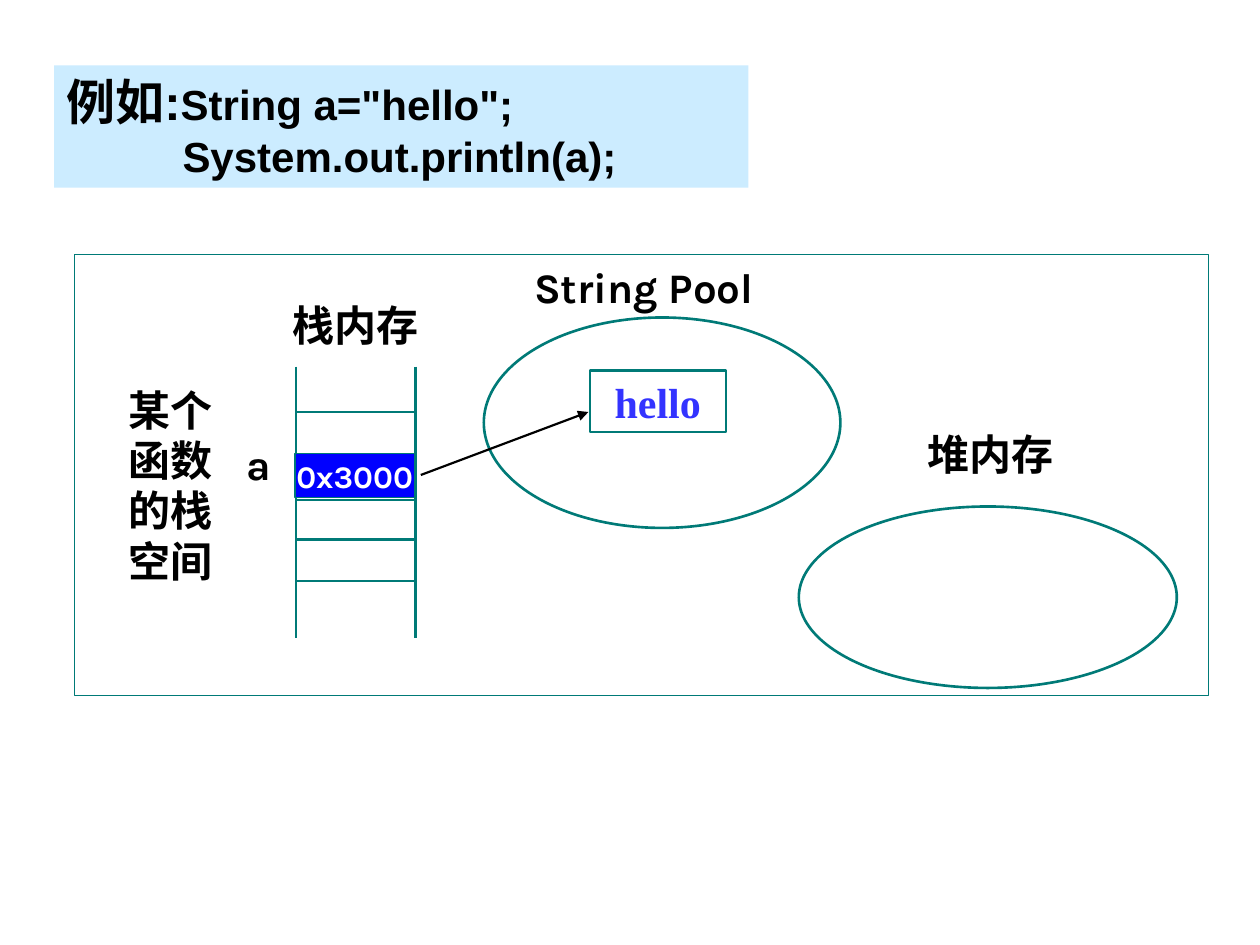
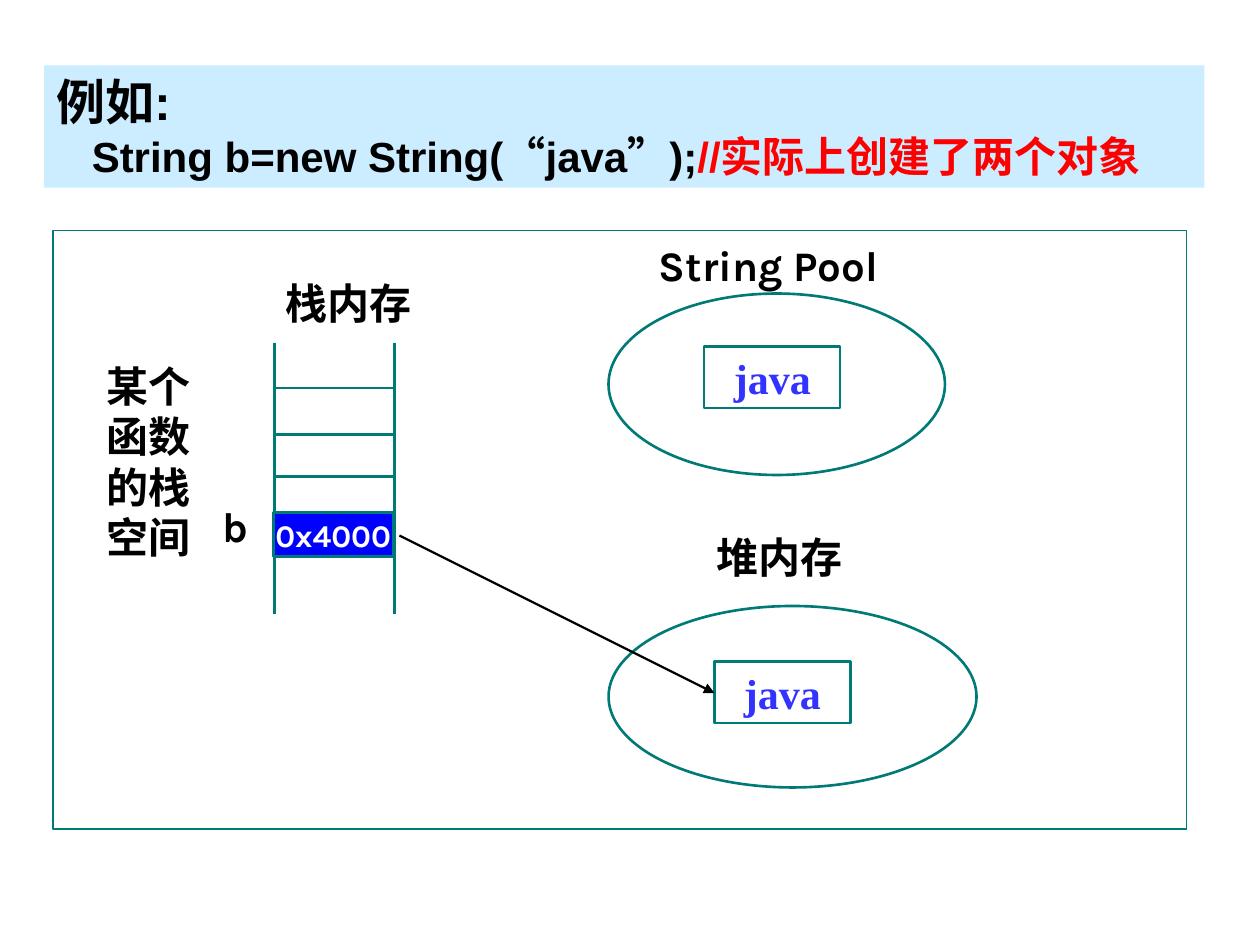
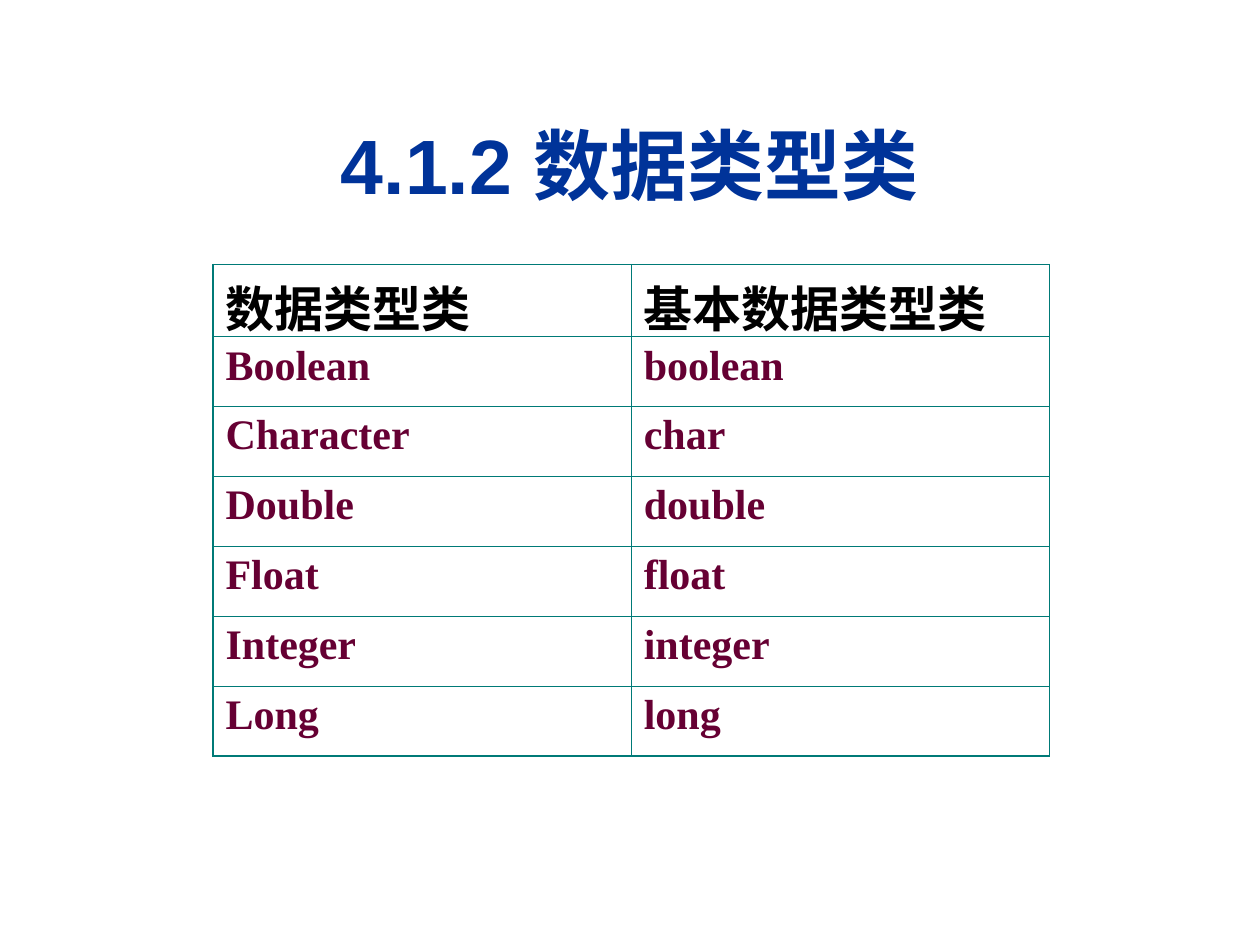
import pptx
import pptx.dml.color
import pptx.enum.shapes
import pptx.enum.text
import pptx.util
import lxml.etree
from dataclasses import dataclass
from pptx.oxml.ns import qn

Inches, Pt = pptx.util.Inches, pptx.util.Pt
RGBColor = pptx.dml.color.RGBColor
MSO_SHAPE = pptx.enum.shapes.MSO_SHAPE
PP_ALIGN = pptx.enum.text.PP_ALIGN
MSO_ANCHOR = pptx.enum.text.MSO_ANCHOR
MSO_AUTO_SIZE = pptx.enum.text.MSO_AUTO_SIZE

# Shared colours and fonts
BLACK = RGBColor(0x00, 0x00, 0x00)
WHITE = RGBColor(0xFF, 0xFF, 0xFF)
TEAL = RGBColor(0x00, 0x7A, 0x77)
BLUE = RGBColor(0x00, 0x00, 0xFF)
VIOLET = RGBColor(0x33, 0x33, 0xFF)
NAVY = RGBColor(0x00, 0x33, 0x99)
PALE_BLUE = RGBColor(0xCC, 0xEC, 0xFF)
RED = RGBColor(0xFF, 0x00, 0x00)
MAROON = RGBColor(0x66, 0x00, 0x33)
SANS, LABEL, SERIF = "Arial", "Karla", "Times New Roman"

Box = tuple[float, float, float, float]
Point = tuple[float, float]


@dataclass
class Label:
    text: str
    at: Box
    wrap: bool = False


@dataclass
class Code:
    """One run of the banner; indent is given when it starts a line."""
    text: str
    indent: float | None = None
    size: float = 24
    color: RGBColor = BLACK


@dataclass
class MemorySlide:
    banner: Box
    code: list[Code]
    frame: Box
    ellipses: list[Box]
    labels: list[Label]
    address: str
    address_top: float
    address_line: float
    values: list[Label]
    arrow: tuple[Point, Point]


def add_text(tf, text: str, *, size: float = 24, font: str = LABEL,
             color: RGBColor = BLACK, align=PP_ALIGN.LEFT,
             new_line: bool = False, indent: float = 0) -> None:
    p = tf.add_paragraph() if new_line else tf.paragraphs[-1]
    p.alignment = align
    if indent:
        p._p.get_or_add_pPr().set("marL", str(Inches(indent)))
    r = p.add_run()
    r.text = text
    r.font.size, r.font.name, r.font.bold = Pt(size), font, True
    r.font.color.rgb = color


def add_box(s, at: Box, fill: RGBColor = WHITE, line: float = 0,
            kind=MSO_SHAPE.RECTANGLE):
    sp = s.shapes.add_shape(kind, *map(Inches, at))
    sp.shadow.inherit = False
    sp.fill.solid()
    sp.fill.fore_color.rgb = fill
    if line:
        sp.line.color.rgb = TEAL
        sp.line.width = Pt(line)
    else:
        sp.line.fill.background()
    return sp


def add_value(s, label: Label, fill: RGBColor, line: float, **fmt) -> None:
    tf = add_box(s, label.at, fill, line).text_frame
    tf.word_wrap = False
    tf.vertical_anchor = MSO_ANCHOR.MIDDLE
    add_text(tf, label.text, align=PP_ALIGN.CENTER, **fmt)


def add_label(s, label: Label) -> None:
    tf = s.shapes.add_textbox(*map(Inches, label.at)).text_frame
    tf.word_wrap = label.wrap
    tf.auto_size = MSO_AUTO_SIZE.SHAPE_TO_FIT_TEXT
    add_text(tf, label.text)


def add_line(s, start: Point, end: Point, color: RGBColor = TEAL,
             width: float = 1.5, arrow: bool = False) -> None:
    c = s.shapes.add_connector(pptx.enum.shapes.MSO_CONNECTOR.STRAIGHT,
                               *map(Inches, start + end))
    c.line.color.rgb = color
    c.line.width = Pt(width)
    spPr = c._element.spPr
    if arrow:
        lxml.etree.SubElement(spPr.find(qn("a:ln")), qn("a:tailEnd"), type="triangle")
    lxml.etree.SubElement(spPr, qn("a:effectLst"))


def add_banner(s, at: Box, code: list[Code]) -> None:
    tf = add_box(s, at, PALE_BLUE).text_frame
    tf.word_wrap = True
    tf.auto_size = MSO_AUTO_SIZE.SHAPE_TO_FIT_TEXT
    tf.vertical_anchor = MSO_ANCHOR.TOP
    for c in code:
        add_text(tf, c.text, size=c.size, font=SANS, color=c.color,
                 new_line=c.indent is not None, indent=c.indent or 0)


def add_stack(s, x: float, y: float) -> None:
    """Two posts and five rungs, with the side label, inside a frame at x, y."""
    left, width = x + 1.76, 0.95
    for post in (left, left + width):
        add_line(s, (post, y + 0.89), (post, y + 3.04))
    for rung in (1.25, 1.62, 1.95, 2.26, 2.59):
        add_line(s, (left, y + rung), (left + width, y + rung))
    add_label(s, Label("某个函数的栈空间", (x + 0.33, y + 0.98, 0.93, 1.7), wrap=True))


def add_memory_slide(prs, m: MemorySlide) -> None:
    s = prs.slides.add_slide(prs.slide_layouts[6])
    x, y = m.frame[:2]
    add_banner(s, m.banner, m.code)
    add_box(s, m.frame, line=0.74)
    add_stack(s, x, y)
    for at in m.ellipses:
        add_box(s, at, line=1.5, kind=MSO_SHAPE.OVAL)
    for label in m.labels:
        add_label(s, label)
    add_value(s, Label(m.address, (x + 1.75, m.address_top, 0.95, 0.35)),
              BLUE, m.address_line, size=18, color=WHITE)
    for value in m.values:
        add_value(s, value, WHITE, 1.25, font=SERIF, color=VIOLET)
    add_line(s, *m.arrow, color=BLACK, width=1.25, arrow=True)


def set_borders(cell, widths: dict[str, float]) -> None:
    tcPr = cell._tc.get_or_add_tcPr()
    for side, width in widths.items():
        ln = lxml.etree.SubElement(tcPr, qn(f"a:ln{side}"), w=str(Pt(width)))
        fill = lxml.etree.SubElement(ln, qn("a:solidFill"))
        lxml.etree.SubElement(fill, qn("a:srgbClr"), val=str(TEAL))


def add_type_table(s, rows: list[tuple[str, str]]) -> None:
    outer, inner = 1.08, 0.45
    last = len(rows) - 1
    table = s.shapes.add_table(len(rows), 2, Inches(1.69), Inches(2.1),
                               Inches(6.64), Inches(3.9)).table
    table.first_row = table.horz_banding = False
    for i, row in enumerate(rows):
        table.rows[i].height = Inches(0.555 if i else 0.57)
        fmt = (dict(font=SERIF, color=MAROON) if i else dict(size=28, font=SANS))
        for j, text in enumerate(row):
            cell = table.cell(i, j)
            set_borders(cell, {"L": inner if j else outer,
                               "R": outer if j else inner,
                               "T": inner if i else outer,
                               "B": outer if i == last else inner})
            cell.fill.background()
            add_text(cell.text_frame, text, **fmt)


prs = pptx.Presentation()
prs.slide_width, prs.slide_height = Inches(10), Inches(7.5)

# Slide 1: a literal lives in the string pool
add_memory_slide(prs, MemorySlide(
    banner=(0.43, 0.52, 5.51, 0.97),
    code=[Code("例如:", size=28), Code('String a="hello";'),
          Code("System.out.println(a);", indent=0.92)],
    frame=(0.59, 2.02, 9, 3.5),
    ellipses=[(6.34, 4.02, 3, 1.44), (3.84, 2.52, 2.83, 1.67)],
    labels=[Label("栈内存", (2.22, 2.33, 1.2, 0.5)),
            Label("a", (1.86, 3.43, 0.4, 0.5)),
            Label("堆内存", (7.26, 3.35, 1.2, 0.5)),
            Label("String Pool", (4.14, 2.03, 2.02, 0.5))],
    address="0x3000", address_top=3.6, address_line=0.74,
    values=[Label("hello", (4.68, 2.94, 1.08, 0.49))],
    arrow=((3.34, 3.77), (4.67, 3.27))))

# Slide 2: new creates a second object on the heap
add_memory_slide(prs, MemorySlide(
    banner=(0.35, 0.52, 9.21, 0.97),
    code=[Code("例如:", size=28), Code("String b=new String(“java”);", indent=0.28),
          Code("//实际上创建了两个对象", color=RED)],
    frame=(0.42, 1.83, 9, 4.75),
    ellipses=[(4.83, 4.81, 2.92, 1.44), (4.83, 2.33, 2.67, 1.44)],
    labels=[Label("栈内存", (2.17, 2.15, 1.2, 0.5)),
            Label("堆内存", (5.59, 4.17, 1.2, 0.5)),
            Label("b", (1.67, 3.92, 0.41, 0.5)),
            Label("String Pool", (5.13, 1.85, 2.02, 0.5))],
    address="0x4000", address_top=4.07, address_line=1.76,
    values=[Label("java", (5.59, 2.75, 1.08, 0.49)),
            Label("java", (5.67, 5.25, 1.08, 0.49))],
    arrow=((3.17, 4.25), (5.67, 5.5))))

# Slide 3: wrapper classes and their basic types
s = prs.slides.add_slide(prs.slide_layouts[6])
tf = s.shapes.add_textbox(*map(Inches, (0.33, 0.67, 9.34, 1.25))).text_frame
tf.word_wrap = True
tf.vertical_anchor = MSO_ANCHOR.MIDDLE
add_text(tf, "4.1.2 数据类型类", size=44, font=SANS, color=NAVY, align=PP_ALIGN.CENTER)
add_type_table(s, [
    ("数据类型类", "基本数据类型类"),
    ("Boolean", "boolean"),
    ("Character", "char"),
    ("Double", "double"),
    ("Float", "float"),
    ("Integer", "integer"),
    ("Long", "long"),
])

prs.save("out.pptx")
